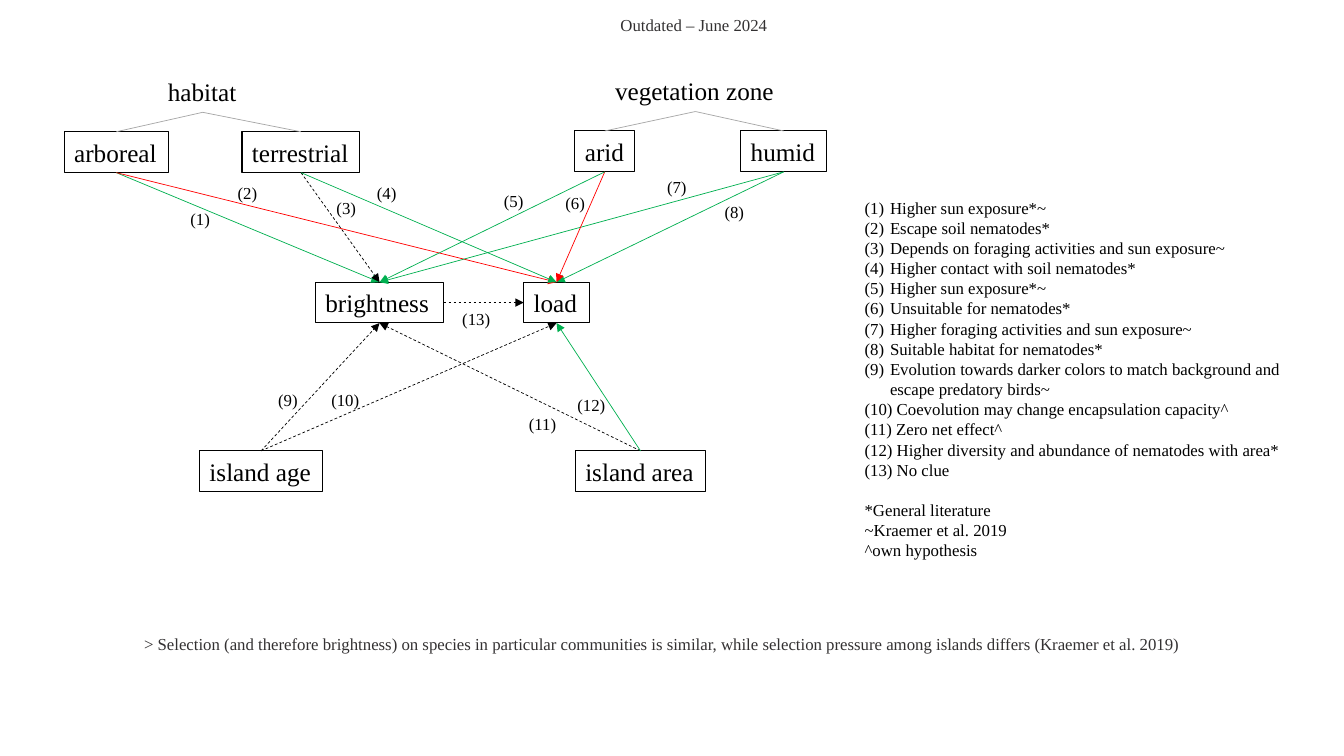
from dataclasses import dataclass

from pptx import Presentation
from pptx.dml.color import RGBColor
from pptx.enum import dml, shapes, text
from pptx.oxml import ns, xmlchemy as xc
from pptx.util import Cm, Pt


@dataclass(frozen=True)
class Theme:
    font: str = "Times New Roman"
    big: int = 18
    small: int = 12
    black: str = "000000"
    dark: str = "333132"
    gray: str = "A6A6A6"
    green: str = "00B050"
    red: str = "FF0000"
    border: float = 0.75
    link: float = 0.5


THEME = Theme()
TOP, LEFT, BOTTOM, RIGHT = range(4)
TALL, LOW = 1.03, 0.77

NODES = {
    "arboreal": (1.62, 3.32, 2.62),
    "terrestrial": (6.1, 3.32, 2.97),
    "arid": (14.49, 3.3, 1.5),
    "humid": (18.67, 3.3, 2.16),
    "brightness": (7.95, 7.11, 3.23),
    "load": (13.2, 7.11, 1.65),
    "island age": (5.03, 11.36, 3.1),
    "island area": (14.5, 11.36, 3.28),
}
HEADS = {
    "habitat": (3.98, 1.8, 2.26, ("arboreal", "terrestrial")),
    "vegetation zone": (15.25, 1.78, 4.55, ("arid", "humid")),
}
UPPER = [
    ("arboreal", "brightness", THEME.green),
    ("arboreal", "load", THEME.red),
    ("humid", "brightness", THEME.green),
    ("humid", "load", THEME.green),
    ("arid", "load", THEME.red),
    ("arid", "brightness", THEME.green),
    ("terrestrial", "brightness", THEME.black),
    ("terrestrial", "load", THEME.green),
]
LOWER = [
    ("island age", "brightness", THEME.black),
    ("island age", "load", THEME.black),
    ("island area", "brightness", THEME.black),
    ("island area", "load", THEME.green),
]
MARKS = [
    (4.55, 5.13), (5.74, 4.47), (8.23, 4.85), (9.25, 4.47), (12.45, 4.67),
    (14, 4.72), (16.56, 4.32), (18.01, 4.95), (6.76, 9.7), (8.1, 9.7),
    (13.08, 10.29), (14.3, 9.83), (11.4, 7.65),
]
REASONS = [
    "Higher sun exposure*~",
    "Escape soil nematodes*",
    "Depends on foraging activities and sun exposure~",
    "Higher contact with soil nematodes*",
    "Higher sun exposure*~",
    "Unsuitable for nematodes*",
    "Higher foraging activities and sun exposure~",
    "Suitable habitat for nematodes*",
    "Evolution towards darker colors to match background and escape predatory birds~",
    " Coevolution may change encapsulation capacity^",
    " Zero net effect^",
    " Higher diversity and abundance of nematodes with area*",
    " No clue",
]
SOURCES = ["*General literature", "~Kraemer et al. 2019", "^own hypothesis"]


def write(frame, lines, size=THEME.small, color=THEME.black,
          align=text.PP_ALIGN.LEFT):
    frame.word_wrap = True
    frame.margin_right = 0
    for i, line in enumerate(lines):
        para = frame.paragraphs[0] if i == 0 else frame.add_paragraph()
        para.alignment = align
        run = para.add_run()
        run.text = line
        run.font.name = THEME.font
        run.font.size = Pt(size)
        run.font.color.rgb = RGBColor.from_string(color)


def label(slide, lines, x, y, w, h=LOW, **style):
    box = slide.shapes.add_textbox(Cm(x), Cm(y), Cm(w), Cm(h))
    write(box.text_frame, lines, **style)
    return box


def node(slide, name, x, y, w):
    box = slide.shapes.add_shape(
        shapes.MSO_SHAPE.RECTANGLE, Cm(x), Cm(y), Cm(w), Cm(TALL))
    box.shadow.inherit = False
    box.fill.background()
    box.line.color.rgb = RGBColor.from_string(THEME.black)
    box.line.width = Pt(THEME.border)
    write(box.text_frame, [name], size=THEME.big)
    return box


def link(slide, start, end, color, sides=(BOTTOM, TOP), arrow=True):
    line = slide.shapes.add_connector(
        shapes.MSO_CONNECTOR.STRAIGHT, 0, 0, 0, 0)
    line.begin_connect(start, sides[0])
    line.end_connect(end, sides[1])
    line.line.color.rgb = RGBColor.from_string(color)
    line.line.width = Pt(THEME.link)
    if color == THEME.black:
        line.line.dash_style = dml.MSO_LINE.DASH
    if arrow:
        tail = xc.OxmlElement("a:tailEnd")
        tail.set("type", "triangle")
        line.line._get_or_add_ln().append(tail)
    line._element.spPr.append(xc.OxmlElement("a:effectLst"))


def number(para):
    props = para._p.get_or_add_pPr()
    props.set("marL", str(Cm(0.64)))
    props.set("indent", str(Cm(-0.64)))
    font = xc.OxmlElement("a:buFont")
    font.set("typeface", THEME.font)
    auto = xc.OxmlElement("a:buAutoNum")
    auto.set("type", "arabicParenBoth")
    props.extend([font, auto])


def legend(slide):
    box = label(slide, REASONS + SOURCES, 21.54, 4.85, 11.73, 9.5)
    paras = box.text_frame.paragraphs
    for para in paras[:len(REASONS)]:
        number(para)
    paras[len(REASONS)].space_before = Pt(14.4)


def main():
    deck = Presentation()
    deck.slide_width, deck.slide_height = Cm(33.87), Cm(19.05)
    slide = deck.slides.add_slide(deck.slide_layouts[6])

    boxes = {name: node(slide, name, *place) for name, place in NODES.items()}
    for name, (x, y, w, kids) in HEADS.items():
        head = label(slide, [name], x, y, w, TALL, size=THEME.big)
        for kid in kids:
            link(slide, head, boxes[kid], THEME.gray, arrow=False)
    for start, end, color in UPPER:
        link(slide, boxes[start], boxes[end], color)
    for start, end, color in LOWER:
        link(slide, boxes[start], boxes[end], color, (TOP, BOTTOM))
    link(slide, boxes["brightness"], boxes["load"], THEME.black, (RIGHT, LEFT))

    for i, (x, y) in enumerate(MARKS, 1):
        label(slide, [f"({i})"], x, y, 1.02 if i < 10 else 1.22)
    legend(slide)
    label(slide, ["> Selection (and therefore brightness) on species in "
                  "particular communities is similar, while selection pressure "
                  "among islands differs (Kraemer et al. 2019)"],
          3.38, 15.85, 26.75, color=THEME.dark)
    label(slide, ["Outdated – June 2024"], 3.99, 0.25, 26.75,
          color=THEME.dark, align=text.PP_ALIGN.CENTER)
    deck.save("out.pptx")


if __name__ == "__main__":
    main()
